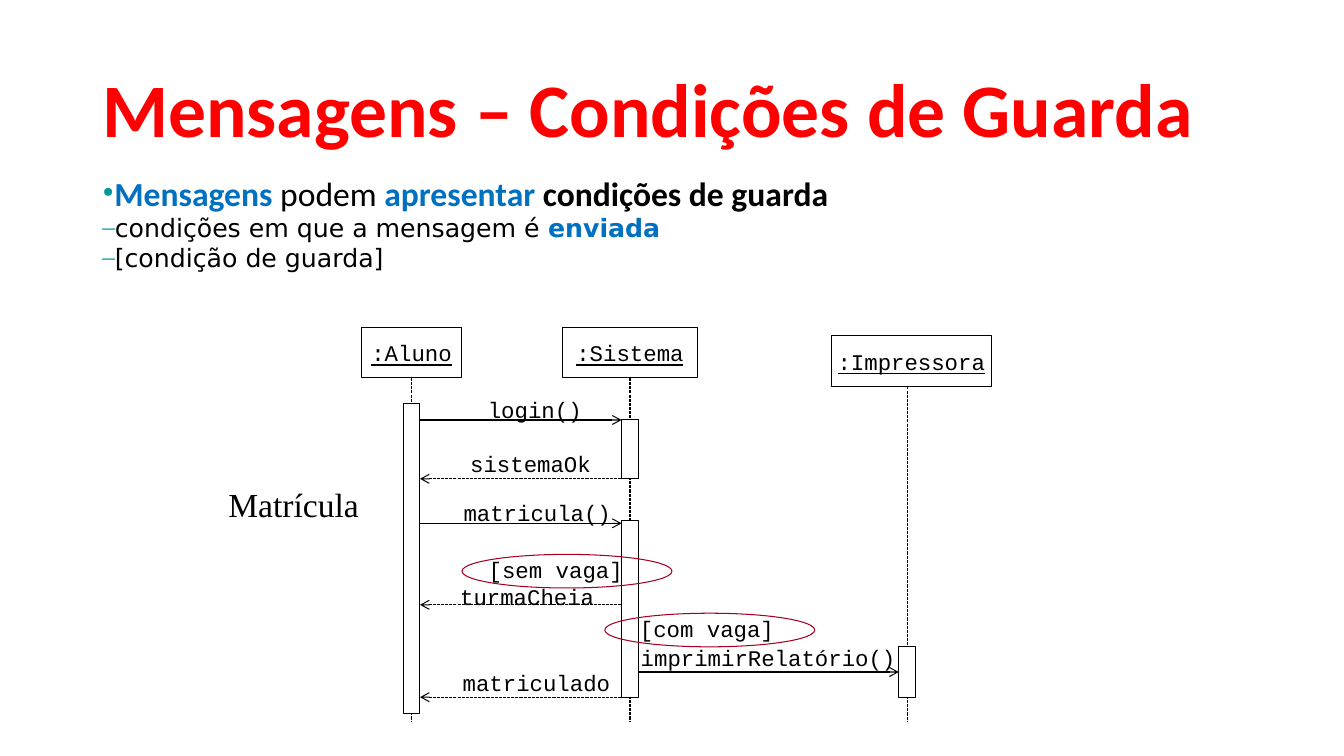
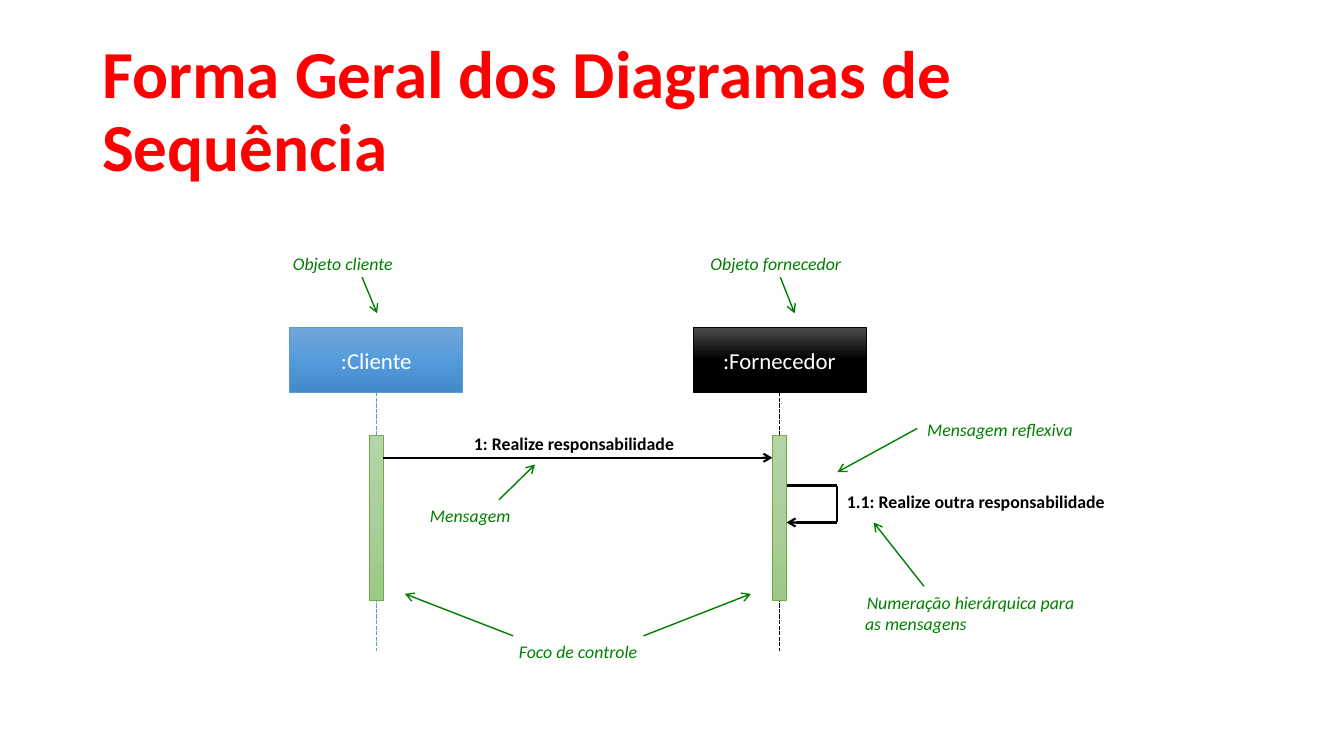
from copy import deepcopy
from dataclasses import dataclass

from pptx import Presentation
from pptx import util as u
from pptx.dml.color import RGBColor
from pptx.enum import dml, shapes, text
from pptx.oxml.ns import qn
from pptx.oxml.xmlchemy import OxmlElement

# The slide is a grid of 160 columns by 90 rows, twelve cells to the inch
COLUMNS, ROWS = 160, 90
CELL = u.Inches(1) // 12


@dataclass(frozen=True)
class Theme:
    title: str = "FF0000"
    accent: str = "0070C0"
    bullet: str = "009999"
    ink: str = "000000"
    paper: str = "FFFFFF"
    guard: str = "A50021"
    note: str = "008000"
    client: str = "5B9BD5"
    focus: str = "70AD47"
    client_fade: tuple = ("71A6DB", "559BDB", "448ACA")
    supplier_fade: tuple = ("4B4B4B", "000000", "000000")
    focus_fade: tuple = ("B5D5A7", "AACE9A", "9CC987")
    sans: str = "Calibri"
    wide: str = "DejaVu Sans"
    mono: str = "Courier New"
    serif: str = "Times New Roman"
    body_size: float = 24
    sub_size: float = 18
    code_size: float = 16
    head_size: float = 16.3
    label_size: float = 12.7
    hairline: float = 0.74
    thin: float = 0.5
    medium: float = 1
    thick: float = 1.5


THEME = Theme()


@dataclass(frozen=True)
class Box:
    """A rectangle in grid cells."""
    left: float
    top: float
    width: float
    height: float

    def area(self, x, y, width, height):
        return Box(self.left + x, self.top + y, width, height)

    def point(self, x, y):
        return round((self.left + x) * CELL), round((self.top + y) * CELL)

    def emu(self):
        return [round(n * CELL) for n in (self.left, self.top, self.width, self.height)]


# Shared drawing tools
def write(frame, paragraphs, size=THEME.label_size, font=THEME.sans, color=THEME.ink,
          bold=False, italic=False, underline=False, align="LEFT", anchor="TOP",
          wrap=False, spacing=None):
    """Fill a text frame; a paragraph is a string or a list of (text, changes)."""
    frame.word_wrap = wrap
    frame.vertical_anchor = getattr(text.MSO_ANCHOR, anchor)
    for index, runs in enumerate(paragraphs):
        paragraph = frame.add_paragraph() if index else frame.paragraphs[0]
        paragraph.alignment = getattr(text.PP_ALIGN, align)
        paragraph.line_spacing = spacing
        for words, changes in [(runs, {})] if isinstance(runs, str) else runs:
            look = dict(size=size, font=font, color=color, bold=bold) | changes
            run = paragraph.add_run()
            run.text = words
            run.font.size = u.Pt(look["size"])
            run.font.name = look["font"]
            run.font.bold = look["bold"]
            run.font.italic = italic
            run.font.underline = underline
            run.font.color.rgb = RGBColor.from_string(look["color"])
    return frame


def add_text(slide, box, paragraphs, **look):
    return write(slide.shapes.add_textbox(*box.emu()).text_frame, paragraphs, **look)


def add_block(slide, box, line=THEME.ink, width=THEME.hairline, fill=None, fade=None,
              kind=shapes.MSO_SHAPE.RECTANGLE):
    shape = slide.shapes.add_shape(kind, *box.emu())
    shape.shadow.inherit = False
    shape.line.color.rgb = RGBColor.from_string(line)
    shape.line.width = u.Pt(width)
    if fade:
        shape.fill.gradient()
        shape.fill.gradient_angle = 270
        stop_list = shape.element.spPr.find(".//" + qn("a:gsLst"))
        stop_list.append(deepcopy(stop_list[0]))
        for index, (stop, color) in enumerate(zip(shape.fill.gradient_stops, fade)):
            stop.position = index / 2
            stop.color.rgb = RGBColor.from_string(color)
    elif fill:
        shape.fill.solid()
        shape.fill.fore_color.rgb = RGBColor.from_string(fill)
    else:
        shape.fill.background()
    return shape


def add_line(slide, start, end, color=THEME.ink, width=THEME.hairline,
             dashed=False, arrow=False):
    line = slide.shapes.add_connector(shapes.MSO_CONNECTOR.STRAIGHT, *start, *end)
    line.line.color.rgb = RGBColor.from_string(color)
    line.line.width = u.Pt(width)
    if dashed:
        line.line.dash_style = dml.MSO_LINE.SQUARE_DOT
    properties = line.element.spPr
    if arrow:
        head = OxmlElement("a:tailEnd")
        head.set("type", "arrow")
        properties.find(qn("a:ln")).append(head)
    properties.append(OxmlElement("a:effectLst"))


def add_title(slide, box, words, size):
    add_text(slide, box, [words], size=size, color=THEME.title, bold=True,
             anchor="MIDDLE", wrap=True, spacing=0.9)


# Guard conditions slide
def add_bullets(slide, box):
    key = dict(color=THEME.accent, bold=True)
    sub = dict(size=THEME.sub_size, font=THEME.wide)
    frame = add_text(slide, box, [
        [("Mensagens ", key), ("podem ", {}), ("apresentar ", key),
         ("condições de guarda", dict(bold=True))],
        [("condições em que a mensagem é ", sub), ("enviada", sub | key)],
        [("[condição de guarda]", sub)],
    ], size=THEME.body_size, wrap=True, spacing=0.8)
    for index, paragraph in enumerate(frame.paragraphs):
        paragraph.level = min(index, 1)
        paragraph.space_before = u.Pt(4 if index else 4.5)
        properties = paragraph._p.get_or_add_pPr()
        properties.set("marL", str(u.Inches(0.12)))
        properties.set("indent", str(-u.Inches(0.12)))
        bullet_color = OxmlElement("a:buClr")
        color = OxmlElement("a:srgbClr")
        color.set("val", THEME.bullet)
        bullet_color.append(color)
        bullet_font = OxmlElement("a:buFont")
        bullet_font.set("typeface", THEME.serif)
        bullet = OxmlElement("a:buChar")
        bullet.set("char", "–" if index else "•")
        properties.extend([bullet_color, bullet_font, bullet])


def add_enrolment_diagram(slide, box):
    student, system, printer = 23, 49, 82
    code = dict(size=THEME.code_size, font=THEME.mono)

    # Objects and lifelines
    for name, x, y, width, life in ((":Aluno", 17, 0, 12, student),
                                    (":Sistema", 41, 0, 16, system),
                                    (":Impressora", 73, 1, 19, printer)):
        head = add_block(slide, box.area(x, y, width, 6))
        write(head.text_frame, [name], underline=True, align="CENTER", anchor="MIDDLE", **code)
        add_line(slide, box.point(life, y + 6), box.point(life, box.height), dashed=True)

    # Activations
    for life, y, height in ((student, 9, 37), (system, 11, 7), (system, 23, 21),
                            (printer, 38, 6)):
        add_block(slide, box.area(life - 1, y, 2, height), fill=THEME.paper)

    # Calls are solid and go right, replies are dashed and go left
    for source, target, y in ((student, system, 11), (system, student, 18),
                              (student, system, 23.3), (system, student, 33),
                              (system, student, 44), (system, printer, 41)):
        side = 1 if target > source else -1
        add_line(slide, box.point(source + side, y), box.point(target - side, y),
                 dashed=side < 0, arrow=True)

    # Message names, as wide as their letters and insets
    for words, x, y in (("login()", 30.9, 7.6), ("sistemaOk", 28.8, 14),
                        ("matricula()", 28, 19.8), ("turmaCheia", 27.6, 29.8),
                        ("[sem vaga]", 31, 26.6), ("matriculado", 27.9, 40.1),
                        ("imprimirRelatório()", 49.1, 37.1), ("[com vaga]", 49, 33.6)):
        add_text(slide, box.area(x, y, 1.6 * len(words) + 2.4, 4.4), [words], **code)
    add_text(slide, box.area(0, 18, 18.1, 5.9), ["Matrícula"],
             size=THEME.body_size, font=THEME.serif)

    # Rings around the guards
    for x, y in ((46, 34), (29, 27)):
        add_block(slide, box.area(x, y, 25, 4), line=THEME.guard, kind=shapes.MSO_SHAPE.OVAL)


# General form slide
def add_general_diagram(slide, box):
    head_width, head_height, head_top = 20.6, 7.7, 10
    bar_width, bar_top, bar_height = 1.7, 22.8, 19.7
    client, supplier = 11.8, 59.8
    edge = bar_width / 2

    # Objects, lifelines and activations
    for name, life, line, fade in ((":Cliente", client, THEME.client, THEME.client_fade),
                                   (":Fornecedor", supplier, THEME.ink, THEME.supplier_fade)):
        head = add_block(slide, box.area(life - head_width / 2, head_top, head_width, head_height),
                         line=line, width=THEME.thin, fade=fade)
        write(head.text_frame, [name], size=THEME.head_size, color=THEME.paper,
              align="CENTER", anchor="MIDDLE")
        add_line(slide, box.point(life, head_top + head_height), box.point(life, box.height),
                 color=line, width=THEME.medium, dashed=True)
        add_block(slide, box.area(life - edge, bar_top, bar_width, bar_height),
                  line=THEME.focus, width=THEME.thin, fade=THEME.focus_fade)

    # Message and reflexive message
    add_line(slide, box.point(client + edge, 25.5), box.point(supplier - edge, 25.5),
             width=THEME.thick, arrow=True)
    start, turn, upper, lower = supplier + edge, supplier + edge + 6, 28.8, 33.2
    loop = [(start, upper), (turn, upper), (turn, lower), (start, lower)]
    for index, (begin, end) in enumerate(zip(loop, loop[1:])):
        add_line(slide, box.point(*begin), box.point(*end), width=THEME.thick, arrow=index == 2)
    add_text(slide, box.area(22.1, 21.9, 26.5, 3.7), ["1: Realize responsabilidade"],
             bold=True, align="CENTER")
    add_text(slide, box.area(turn, upper, 33.5, 3.7), ["1.1: Realize outra responsabilidade"],
             bold=True)

    # Notes: lines, place, width and arrows
    notes = (
        (["Mensagem"], 17, 30.5, 12.1, [(26.4, 30.5, 30.7, 26.3)]),
        (["Mensagem reflexiva"], 76.2, 20.3, 19.9, [(76.2, 22, 66.7, 27.2)]),
        (["Numeração hierárquica para", "as mensagens"], 68.8, 40.8, 27.5,
         [(77, 40.8, 71, 33.2)]),
        (["Objeto cliente"], 0.7, 0.5, 14.4, [(10.1, 4, 11.9, 8.3)]),
        (["Objeto fornecedor"], 50.4, 0.5, 18.1, [(59.9, 4, 61.6, 8.3)]),
        (["Foco de controle"], 27.6, 46.7, 16.6,
         [(43.6, 46.7, 56.4, 41.7), (28.1, 46.7, 15.2, 41.7)]),
    )
    for lines, x, y, width, arrows in notes:
        frame = add_text(slide, box.area(x, y, width, 1.1 + 2.6 * len(lines)), lines,
                         color=THEME.note, italic=True)
        if len(lines) > 1:
            frame.paragraphs[0].alignment = text.PP_ALIGN.CENTER
        for x1, y1, x2, y2 in arrows:
            add_line(slide, box.point(x1, y1), box.point(x2, y2), color=THEME.note,
                     width=THEME.medium, arrow=True)


# Slides
def build_guard_slide(slide, box):
    add_title(slide, box.area(11, 7.9, 138, 11), "Mensagens – Condições de Guarda", 54)
    add_bullets(slide, box.area(11, 20.9, 138, 12.2))
    add_enrolment_diagram(slide, box.area(26, 39, 92, 47))


def build_general_slide(slide, box):
    add_title(slide, box.area(11, 4.8, 138, 17.4), "Forma Geral dos Diagramas de Sequência", 48)
    add_general_diagram(slide, box.area(33, 29, 101, 48.5))


presentation = Presentation()
presentation.slide_width = COLUMNS * CELL
presentation.slide_height = ROWS * CELL
for build in (build_guard_slide, build_general_slide):
    build(presentation.slides.add_slide(presentation.slide_layouts[6]), Box(0, 0, COLUMNS, ROWS))
presentation.save("out.pptx")
